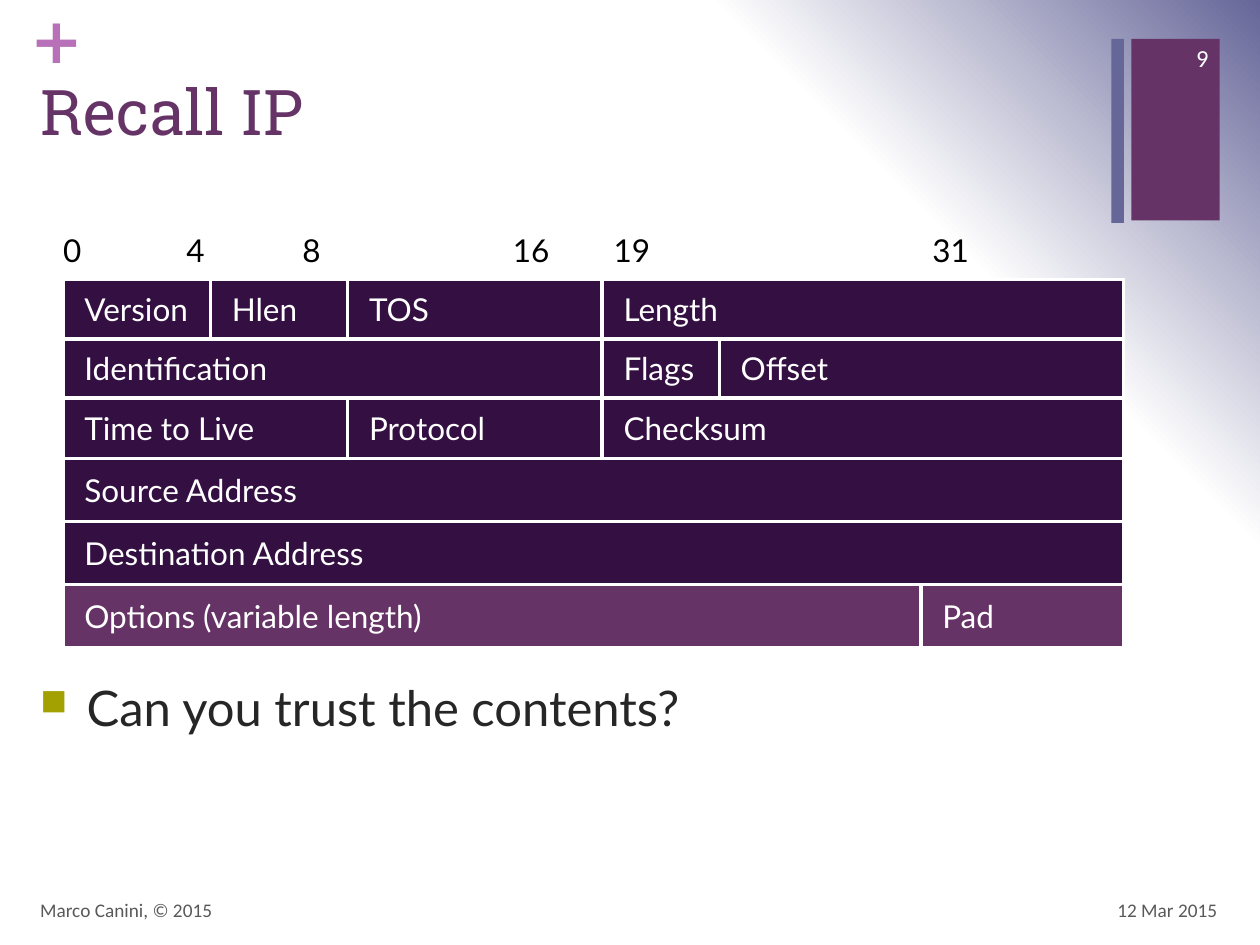
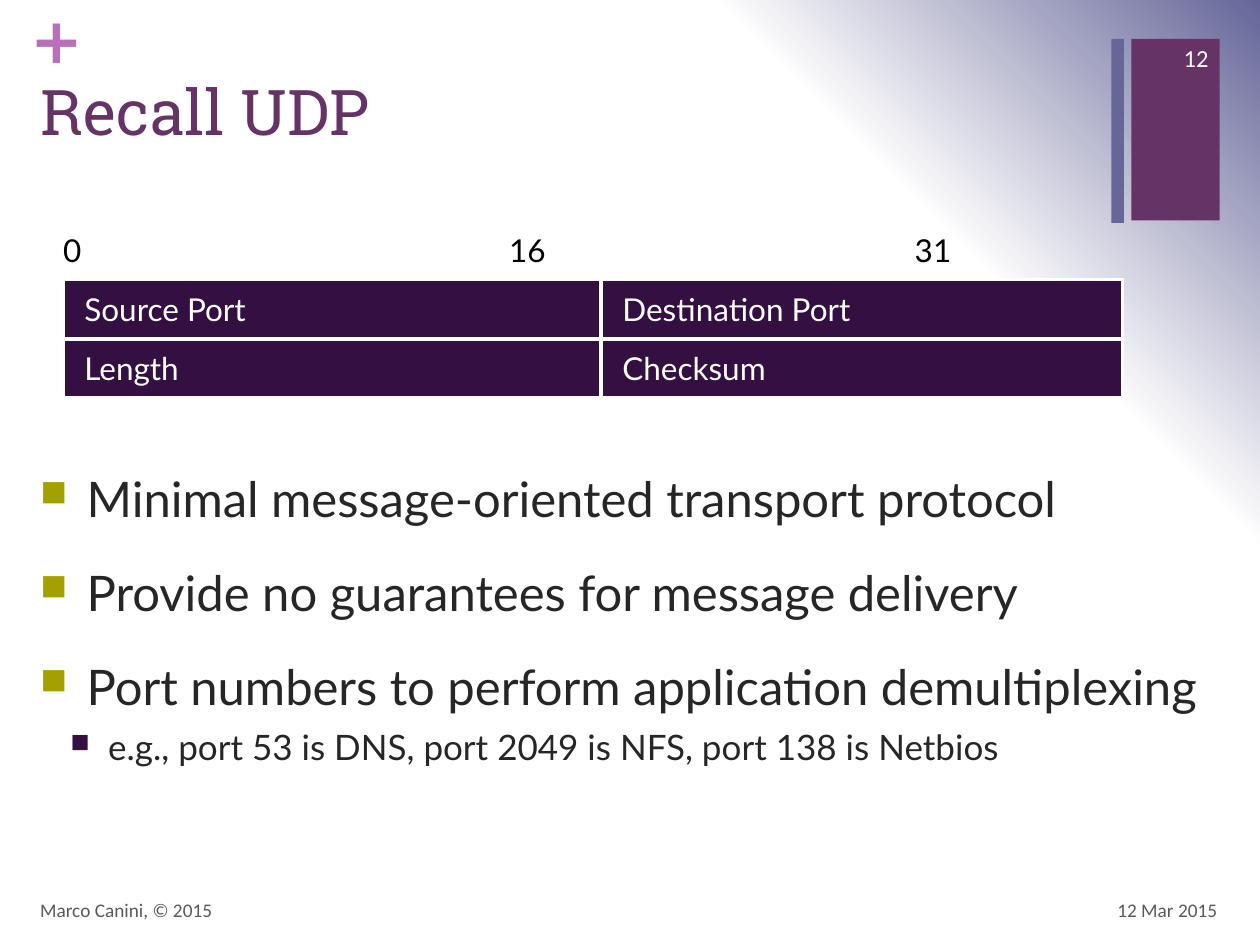
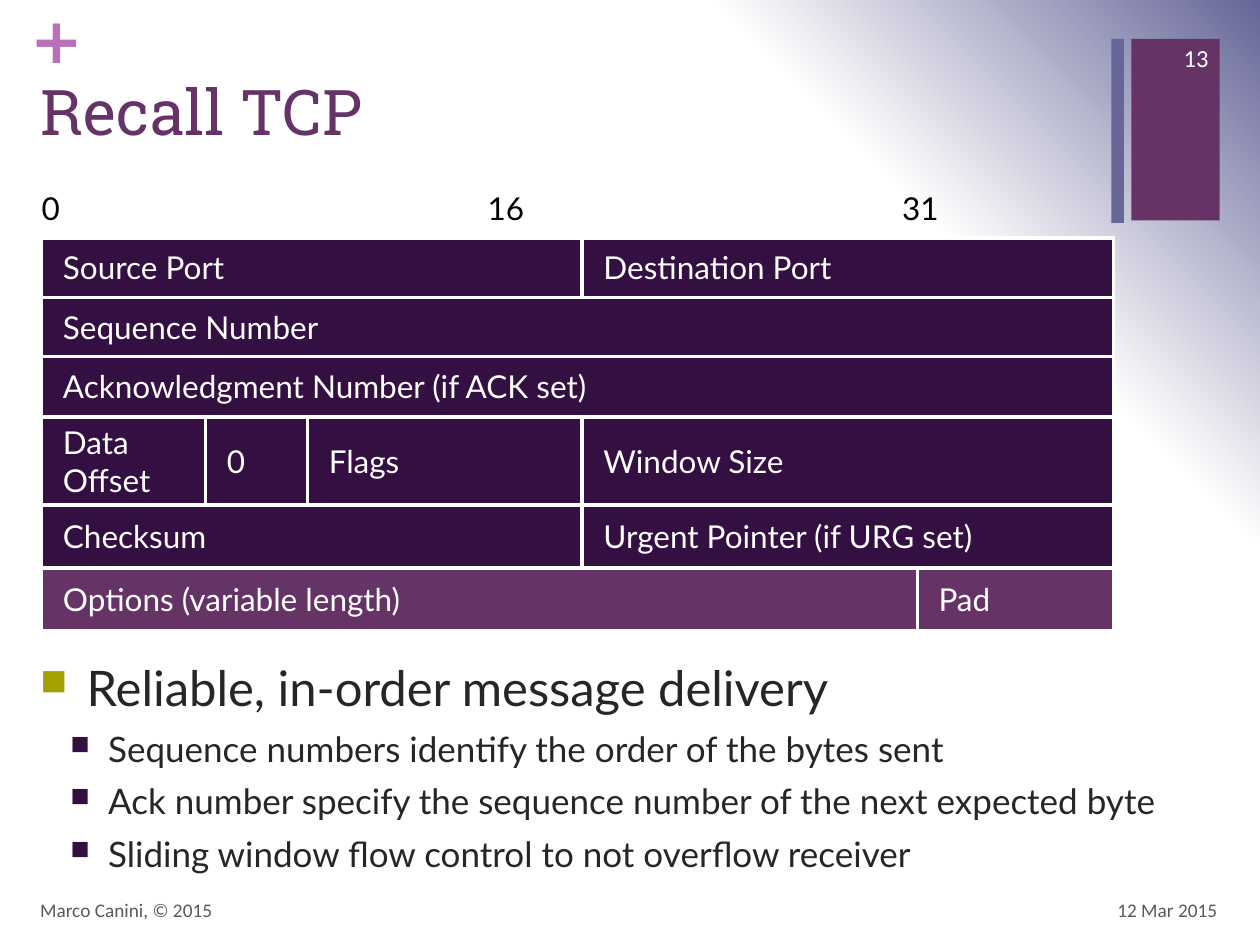
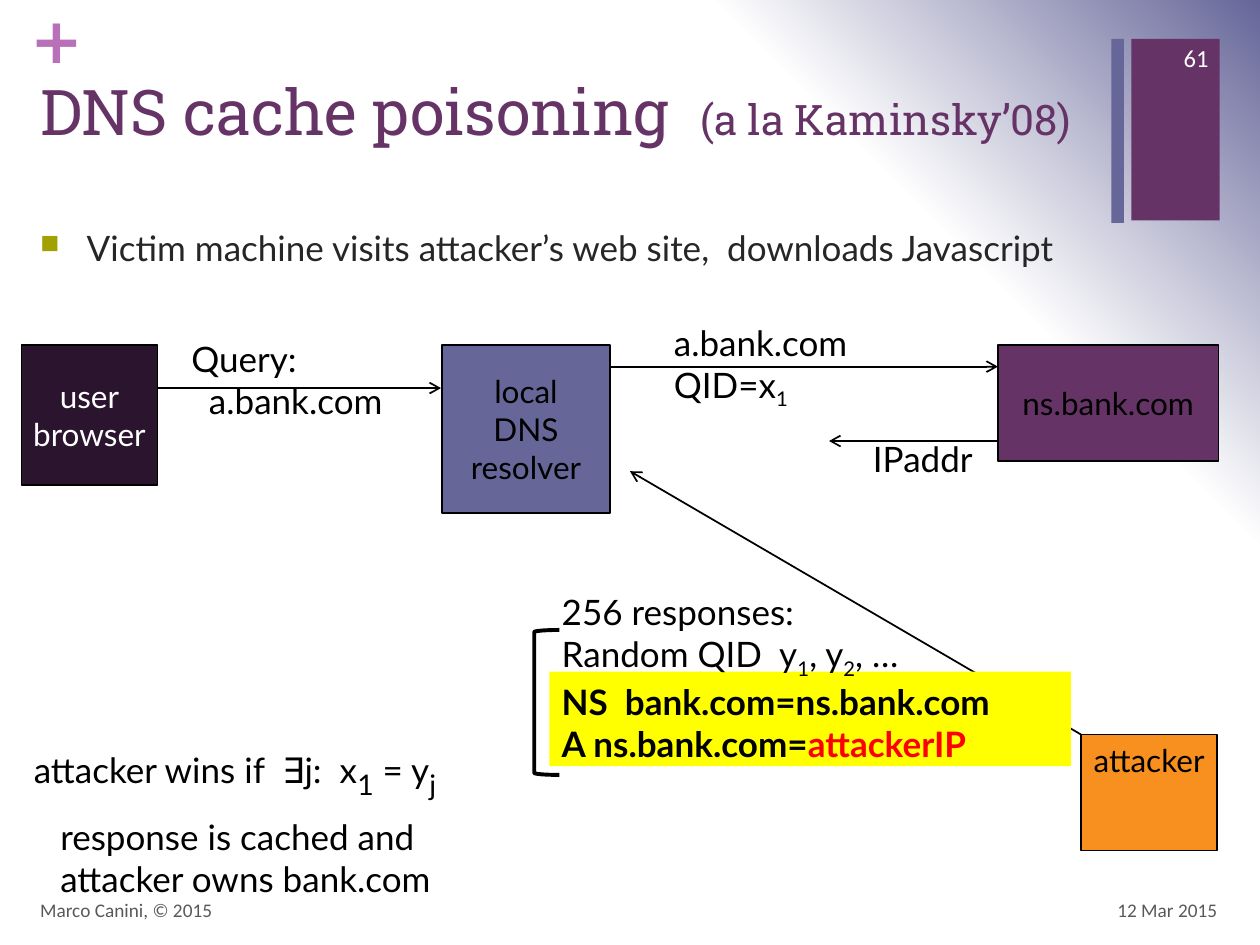
from dataclasses import dataclass
from typing import Any, Optional

from lxml import etree
from pptx import Presentation
from pptx.dml.color import RGBColor
from pptx.enum.shapes import MSO_CONNECTOR, MSO_SHAPE
from pptx.enum.text import MSO_ANCHOR, PP_ALIGN
from pptx.oxml import parse_xml
from pptx.oxml.ns import nsdecls, qn
from pptx.util import Emu, Inches, Pt

LEFT, CENTER, RIGHT = PP_ALIGN.LEFT, PP_ALIGN.CENTER, PP_ALIGN.RIGHT
TOP, MIDDLE = MSO_ANCHOR.TOP, MSO_ANCHOR.MIDDLE
RECT, LEFT_BRACKET = MSO_SHAPE.RECTANGLE, MSO_SHAPE.LEFT_BRACKET
STRAIGHT = MSO_CONNECTOR.STRAIGHT


@dataclass(frozen=True)
class Theme:
    purple: str = "663366"
    slate: str = "666699"
    dark: str = "330F42"
    night: str = "2B142D"
    pink: str = "B870B8"
    olive: str = "A3A101"
    orange: str = "F7901E"
    yellow: str = "FFFF00"
    red: str = "FF0000"
    ink: str = "262626"
    grey: str = "595959"
    black: str = "000000"
    white: str = "FFFFFF"
    heading: str = "Roboto Slab"
    body: str = "Lato"
    footer: str = "Calibri"
    symbol: str = "DejaVu Sans"
    title_size: int = 36
    point_size: int = 28
    subtitle_size: int = 24
    text_size: int = 20
    label_size: int = 18
    number_size: int = 14
    footer_size: int = 11


T = Theme()


@dataclass(frozen=True)
class Box:
    left: float
    top: float
    width: float
    height: float

    def emu(self) -> tuple[Emu, ...]:
        return tuple(Inches(v) for v in (self.left, self.top, self.width, self.height))


@dataclass(frozen=True)
class Style:
    size: int = T.text_size
    color: str = T.black
    font: str = T.body
    bold: bool = False
    align: Any = LEFT


@dataclass(frozen=True)
class Run:
    text: str
    size: Optional[int] = None
    color: Optional[str] = None
    bold: Optional[bool] = None
    sub: bool = False


@dataclass(frozen=True)
class Bullet:
    color: str
    indent: float
    hanging: float
    space_before: int


@dataclass(frozen=True)
class Para:
    runs: tuple[Run, ...]
    space_before: int = 0
    indent: float = 0
    bullet: Optional[Bullet] = None
    size: Optional[int] = None
    tabs: tuple[float, ...] = ()


@dataclass(frozen=True)
class Field:
    text: str
    span: int = 1
    fill: str = T.dark


@dataclass(frozen=True)
class Header:
    left: float
    top: float
    columns: tuple[float, ...]
    heights: tuple[float, ...]
    bits: str
    tabs: tuple[float, ...]
    rows: tuple[tuple[Field, ...], ...]


@dataclass(frozen=True)
class Node:
    box: Box
    lines: tuple[str, ...]
    fill: str
    color: str = T.black
    anchor: Any = MIDDLE


@dataclass(frozen=True)
class Arrow:
    start: tuple[float, float]
    end: tuple[float, float]


LEVELS = (Bullet(T.olive, 0.37, 0.37, 20), Bullet(T.dark, 0.54, 0.3, 6))
TITLE = Style(T.title_size, T.purple, T.heading)
BODY = Style(T.point_size, T.ink)
NOTE = Style()
RULER = Style(T.label_size)
CELL = Style(T.label_size, T.white)
FOOTER = Style(T.footer_size, T.grey, T.footer)
DATE = Style(T.footer_size, T.grey, T.footer, align=RIGHT)
NUMBER = Style(T.number_size, T.white, T.footer, align=RIGHT)
PLUS = Style(T.title_size, T.pink, T.symbol, True)


def rgb(color: str) -> RGBColor:
    return RGBColor.from_string(color)


def apply(target: Any, formats: dict[str, Any]) -> None:
    for name, value in formats.items():
        setattr(target, name, value)


def line(text: str, **formats: Any) -> Para:
    return Para((Run(text),), **formats)


def point(text: str, level: int = 0, size: Optional[int] = None) -> Para:
    size = size or (T.point_size, T.text_size)[level]
    return line(text, bullet=LEVELS[level], size=size)


def add_element(parent: Any, tag: str, **attributes: str) -> Any:
    element = etree.SubElement(parent, qn(tag))
    for name, value in attributes.items():
        element.set(name, value)
    return element


def format_paragraph(p: Any, para: Para, first: bool) -> None:
    pPr = p._p.get_or_add_pPr()
    indent, hanging, before = para.indent, 0.0, para.space_before
    if para.bullet:
        indent, hanging = para.bullet.indent, para.bullet.hanging
        before = para.bullet.space_before
        add_element(add_element(pPr, "a:buClr"), "a:srgbClr", val=para.bullet.color)
        add_element(pPr, "a:buSzPct", val="75000")
        add_element(pPr, "a:buChar", char="■")
    if indent:
        pPr.set("marL", str(Inches(indent)))
        pPr.set("indent", str(-Inches(hanging)))
    if para.tabs:
        tabs = add_element(pPr, "a:tabLst")
        for tab in para.tabs:
            add_element(tabs, "a:tab", pos=str(Inches(tab)), algn="l")
    if before and not first:
        p.space_before = Pt(before)


def write(tf: Any, paras: tuple[Para, ...], style: Style) -> None:
    for i, para in enumerate(paras):
        p = tf.add_paragraph() if i else tf.paragraphs[0]
        p.alignment = style.align
        format_paragraph(p, para, i == 0)
        for run in para.runs:
            for j, text in enumerate(run.text.split("\n")):
                if j:
                    p.add_line_break()
                r = p.add_run()
                r.text = text
                apply(r.font, {
                    "name": style.font,
                    "size": Pt(run.size or para.size or style.size),
                    "bold": style.bold if run.bold is None else run.bold,
                })
                r.font.color.rgb = rgb(run.color or style.color)
                if run.sub:
                    r._r.get_or_add_rPr().set("baseline", "-25000")


def add_text(shapes: Any, box: Box, paras: tuple[Para, ...], style: Style,
             anchor: Any = TOP, inset: Optional[float] = None) -> None:
    tf = shapes.add_textbox(*box.emu()).text_frame
    apply(tf, {"word_wrap": True, "vertical_anchor": anchor})
    if inset is not None:
        sides = ("left", "top", "right", "bottom")
        apply(tf, {f"margin_{side}": Inches(inset) for side in sides})
    write(tf, paras, style)


def add_box(shapes: Any, box: Box, fill: Optional[str] = None,
            outline: float = 0, kind: Any = RECT) -> Any:
    sp = shapes.add_shape(kind, *box.emu())
    sp.shadow.inherit = False
    if fill:
        sp.fill.solid()
        sp.fill.fore_color.rgb = rgb(fill)
    else:
        sp.fill.background()
    if outline:
        sp.line.color.rgb = rgb(T.black)
        sp.line.width = Pt(outline)
    else:
        sp.line.fill.background()
    return sp


def add_node(shapes: Any, node: Node) -> None:
    tf = add_box(shapes, node.box, node.fill, 1).text_frame
    apply(tf, {"word_wrap": False, "vertical_anchor": node.anchor})
    style = Style(T.label_size, node.color, align=CENTER)
    write(tf, tuple(line(text) for text in node.lines), style)


def add_arrow(shapes: Any, arrow: Arrow) -> None:
    ends = (Inches(v) for v in arrow.start + arrow.end)
    cxn = shapes.add_connector(STRAIGHT, *ends)
    cxn.line.color.rgb = rgb(T.black)
    cxn.line.width = Pt(1)
    add_element(cxn.line._get_or_add_ln(), "a:tailEnd", type="arrow")
    add_element(cxn._element.spPr, "a:effectLst")


def add_borders(cell: Any, sides: str) -> None:
    tcPr = cell._tc.get_or_add_tcPr()
    for i, side in enumerate("LRTB"):
        ln = etree.Element(qn(f"a:ln{side}"), w=str(Pt(2.25)))
        if side in sides:
            add_element(add_element(ln, "a:solidFill"), "a:srgbClr", val=T.white)
        else:
            add_element(ln, "a:noFill")
        tcPr.insert(i, ln)


def fill_cell(cell: Any, para: Para, style: Style, inset: float) -> None:
    apply(cell, {
        "vertical_anchor": MIDDLE,
        "margin_left": Inches(inset), "margin_right": Inches(inset),
        "margin_top": Inches(0.05), "margin_bottom": Inches(0.05),
    })
    write(cell.text_frame, (para,), style)


def add_header(shapes: Any, header: Header) -> None:
    n = len(header.columns)
    box = Box(header.left, header.top, sum(header.columns), sum(header.heights))
    table = shapes.add_table(len(header.heights), n, *box.emu()).table
    apply(table, {"first_row": False, "horz_banding": False})
    for column, width in zip(table.columns, header.columns):
        column.width = Inches(width)
    for row, height in zip(table.rows, header.heights):
        row.height = Inches(height)

    ruler = table.cell(0, 0)
    ruler.merge(table.cell(0, n - 1))
    fill_cell(ruler, line(header.bits, tabs=header.tabs), RULER, 0)
    for c in range(n):
        table.cell(0, c).fill.background()
        add_borders(table.cell(0, c), "B")

    for i, fields in enumerate(header.rows, 1):
        start = 0
        for field in fields:
            end = start + field.span
            cell = table.cell(i, start)
            if field.span > 1:
                cell.merge(table.cell(i, end - 1))
            fill_cell(cell, line(field.text), CELL, 0.17)
            for c in range(start, end):
                part = table.cell(i, c)
                part.fill.solid()
                part.fill.fore_color.rgb = rgb(field.fill)
                add_borders(part, "LRTB")
            start = end


def set_background(prs: Any) -> None:
    fill = prs.slide_master.background.fill
    fill.solid()
    bg = prs.slide_master.element.find(".//" + qn("p:bgPr"))
    stops = "".join(
        f'<a:gs pos="{pos * 1000}"><a:srgbClr val="{color}"/></a:gs>'
        for pos, color in ((0, T.white), (75, T.white), (100, T.slate)))
    bg.replace(bg[0], parse_xml(
        f'<a:gradFill {nsdecls("a")} rotWithShape="1"><a:gsLst>{stops}</a:gsLst>'
        '<a:path path="circle"><a:fillToRect t="100000" r="100000"/></a:path>'
        '</a:gradFill>'))


def add_slide(prs: Any, number: int, title: tuple[Run, ...],
              body_top: float, points: tuple[Para, ...]) -> Any:
    s = prs.slides.add_slide(prs.slide_layouts[6])
    shapes = s.shapes
    add_box(shapes, Box(8.98, 0.31, 0.7, 1.44), T.purple)
    add_text(shapes, Box(0.24, 0, 0.29, 0.61), (line("+"),), PLUS, inset=0)
    add_box(shapes, Box(8.82, 0.31, 0.1, 1.46), T.slate)
    add_text(shapes, Box(0.22, 0.53, 8.59, 1.22), (Para(title),), TITLE)
    add_text(shapes, Box(0.22, body_top, 9.54, 7.02 - body_top), points, BODY)
    for box, text, style in (
        (Box(7.43, 7.02, 2.33, 0.4), "12 Mar 2015", DATE),
        (Box(0.22, 7.02, 6.7, 0.4), "Marco Canini, © 2015", FOOTER),
        (Box(9.08, 0.26, 0.61, 0.4), str(number), NUMBER),
    ):
        add_text(shapes, box, (line(text),), style, MIDDLE)
    return s


HEIGHTS = (0.47, 0.47, 0.47, 0.48, 0.5, 0.5, 0.5)
PORTS = ("Source Port", "Destination Port")

IP = Header(
    0.5, 1.75, (1.17, 1.09, 2.02, 0.93, 1.6, 1.61), HEIGHTS,
    "0\t4\t8\t16\t19\t31", (0.98, 1.9, 3.57, 4.37, 6.9),
    (
        (Field("Version"), Field("Hlen"), Field("TOS"), Field("Length", 3)),
        (Field("Identification", 3), Field("Flags"), Field("Offset", 2)),
        (Field("Time to Live", 2), Field("Protocol"), Field("Checksum", 3)),
        (Field("Source Address", 6),),
        (Field("Destination Address", 6),),
        (Field("Options (variable length)", 5, T.purple), Field("Pad", 1, T.purple)),
    ))

UDP = Header(
    0.5, 1.75, (4.27, 4.14), HEIGHTS[:3], "0\t16\t31", (3.54, 6.76),
    (
        tuple(Field(port) for port in PORTS),
        (Field("Length"), Field("Checksum")),
    ))

TCP = Header(
    0.33, 1.42, (1.3, 0.81, 2.18, 2.66, 1.56), HEIGHTS, "0\t16\t31", (3.54, 6.83),
    (
        tuple(Field(port, span) for port, span in zip(PORTS, (3, 2))),
        (Field("Sequence Number", 5),),
        (Field("Acknowledgment Number (if ACK set)", 5),),
        (Field("Data Offset"), Field("0"), Field("Flags"), Field("Window Size", 2)),
        (Field("Checksum", 3), Field("Urgent Pointer (if URG set)", 2)),
        (Field("Options (variable length)", 4, T.purple), Field("Pad", 1, T.purple)),
    ))

NODES = (
    Node(Box(0.17, 2.74, 1.08, 1.11), ("user", "browser"), T.night, T.white),
    Node(Box(3.51, 2.74, 1.33, 1.33), ("local", "DNS", "resolver"), T.slate),
    Node(Box(7.92, 2.74, 1.75, 0.92), ("ns.bank.com",), T.purple),
    Node(Box(8.58, 5.83, 1.08, 0.92), ("attacker",), T.orange, anchor=TOP),
)

ARROWS = (
    Arrow((1.25, 3.08), (3.5, 3.08)),
    Arrow((4.83, 2.91), (7.92, 2.91)),
    Arrow((7.92, 3.5), (6.58, 3.5)),
)

NOTES = (
    (Box(1.42, 2.63, 1.81, 0.77), (line("Query:"), line("a.bank.com", indent=0.14))),
    (Box(5.25, 2.5, 1.63, 0.77),
     (line("a.bank.com"), Para((Run("QID=x"), Run("1", sub=True))))),
    (Box(6.83, 3.42, 1.01, 0.44), (line("IPaddr"),)),
    (Box(0.17, 5.78, 3.75, 1.22), (
        Para((Run("attacker wins if  ∃j:  x"), Run("1", T.point_size, sub=True),
              Run(" = y"), Run("j", T.point_size, sub=True))),
        line("response is cached and\nattacker owns bank.com",
             space_before=8, indent=0.21),
    )),
)

RESPONSES = (
    line("256 responses:"),
    Para((Run("Random QID  y"), Run("1", sub=True), Run(", y"),
          Run("2", sub=True), Run(", …"))),
    Para((Run("NS  bank.com=ns.bank.com", bold=True),)),
    Para((Run("A ns.bank.com=", bold=True), Run("attackerIP", color=T.red, bold=True))),
)


def add_attack(shapes: Any) -> None:
    for node in NODES:
        add_node(shapes, node)
    for arrow in ARROWS:
        add_arrow(shapes, arrow)
    for box, paras in NOTES:
        add_text(shapes, box, paras, NOTE)
    flood = shapes.add_group_shape().shapes
    add_arrow(flood, Arrow((8.58, 5.83), (5, 3.74)))
    add_box(flood, Box(4.36, 5.33, 4.14, 0.75), T.yellow)
    add_text(flood, Box(4.36, 4.64, 4.14, 1.45), RESPONSES, NOTE)
    bracket = add_box(flood, Box(4.24, 5, 0.2, 1.15), None, 2.25, LEFT_BRACKET)
    bracket.adjustments[0] = 0.08


def main() -> None:
    prs = Presentation()
    apply(prs, {"slide_width": Inches(10), "slide_height": Inches(7.5)})
    set_background(prs)

    s = add_slide(prs, 9, (Run("Recall IP"),), 5.33,
                  (point("Can you trust the contents?"),))
    add_header(s.shapes, IP)

    s = add_slide(prs, 12, (Run("Recall UDP"),), 3.67, (
        point("Minimal message-oriented transport protocol"),
        point("Provide no guarantees for message delivery"),
        point("Port numbers to perform application demultiplexing"),
        point("e.g., port 53 is DNS, port 2049 is NFS, port 138 is Netbios", 1),
    ))
    add_header(s.shapes, UDP)

    s = add_slide(prs, 13, (Run("Recall TCP"),), 5.17, (
        point("Reliable, in-order message delivery"),
        point("Sequence numbers identify the order of the bytes sent", 1),
        point("Ack number specify the sequence number of the next expected byte", 1),
        point("Sliding window flow control to not overflow receiver", 1),
    ))
    add_header(s.shapes, TCP)

    title = (Run("DNS cache poisoning  "), Run("(a la Kaminsky’08)", T.subtitle_size))
    s = add_slide(prs, 61, title, 1.75, (
        point("Victim machine visits attacker’s web site,  downloads Javascript",
              size=T.text_size),
    ))
    add_attack(s.shapes)

    prs.save("out.pptx")


if __name__ == "__main__":
    main()
